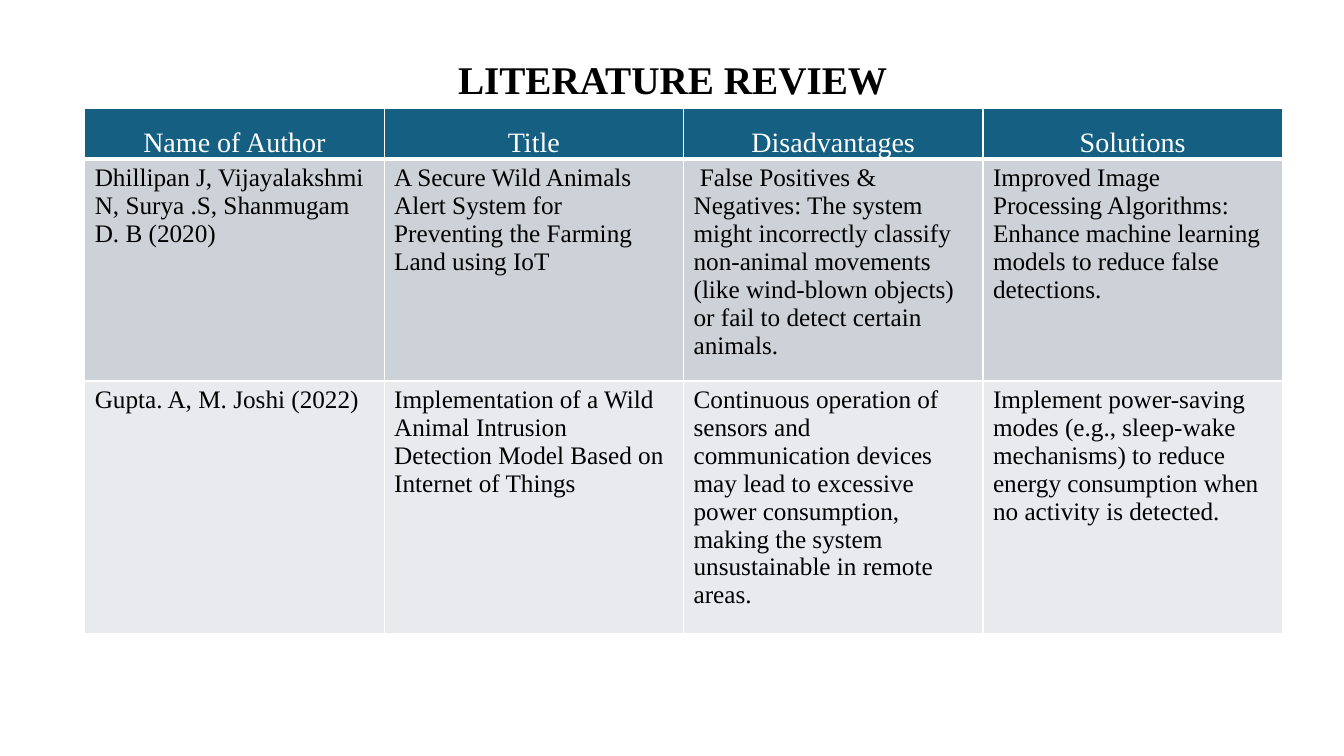
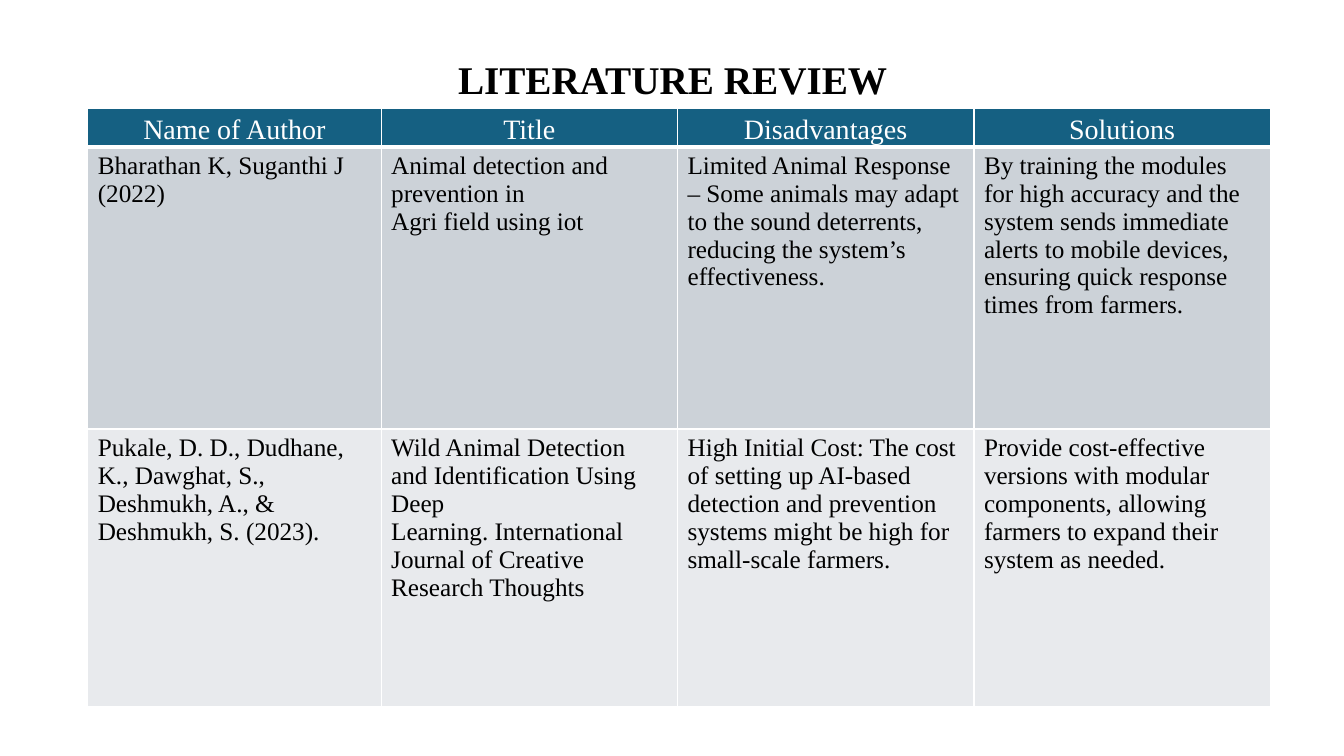
from lxml import etree
from pptx import Presentation
from pptx.dml.color import RGBColor
from pptx.enum.text import MSO_ANCHOR, MSO_AUTO_SIZE, PP_ALIGN
from pptx.oxml.ns import qn
from pptx.util import Inches, Pt

CENTER, LEFT = PP_ALIGN.CENTER, PP_ALIGN.LEFT
TOP, BOTTOM = MSO_ANCHOR.TOP, MSO_ANCHOR.BOTTOM
GROW = MSO_AUTO_SIZE.SHAPE_TO_FIT_TEXT

FONT = "Times New Roman"
COLORS = {
    "header": "156082",
    "odd_row": "CCD2D8",
    "even_row": "E8EAED",
    "text": "000000",
    "white": "FFFFFF",
}
HEADINGS = ["Name of Author", "Title", "Disadvantages", "Solutions"]

REVIEWS = [
    {
        "left": 0.84,
        "widths": [2.97, 2.97, 2.97, 2.97],
        "heights": [0.5, 2.2, 2.5],
        "rows": [
            [
                "Dhillipan J, Vijayalakshmi N, Surya .S, Shanmugam D. B (2020)",
                "A Secure Wild Animals Alert System for\n"
                "Preventing the Farming Land using IoT",
                " False Positives & Negatives: The system might incorrectly classify "
                "non-animal movements (like wind-blown objects) or fail to detect "
                "certain animals.",
                "Improved Image Processing Algorithms: Enhance machine learning "
                "models to reduce false detections.",
            ],
            [
                "Gupta. A, M. Joshi (2022)",
                "Implementation of a Wild Animal Intrusion\n"
                "Detection Model Based on Internet of Things",
                "Continuous operation of sensors and communication devices may lead "
                "to excessive power consumption, making the system unsustainable in "
                "remote areas.",
                "Implement power-saving modes (e.g., sleep-wake mechanisms) to reduce "
                "energy consumption when no activity is detected.",
            ],
        ],
    },
    {
        "left": 0.87,
        "widths": [2.91, 2.94, 2.94, 2.94],
        "heights": [0.37, 2.8, 2.75],
        "rows": [
            [
                "Bharathan K, Suganthi J (2022)",
                "Animal detection and prevention in\nAgri field using iot",
                "Limited Animal Response – Some animals may adapt to the sound "
                "deterrents, reducing the system’s effectiveness.",
                "By training the modules for high accuracy and the system sends "
                "immediate alerts to mobile devices, ensuring quick response times "
                "from farmers.",
            ],
            [
                "Pukale, D. D., Dudhane, K., Dawghat, S., Deshmukh, A., & "
                "Deshmukh, S. (2023).",
                "Wild Animal Detection and Identification Using Deep\n"
                "Learning. International Journal of Creative Research Thoughts",
                "High Initial Cost: The cost of setting up AI-based detection and "
                "prevention systems might be high for small-scale farmers.",
                "Provide cost-effective versions with modular components, allowing "
                "farmers to expand their system as needed.",
            ],
        ],
    },
]


class Deck:
    def __init__(self):
        self.prs = Presentation()
        self.prs.slide_width = Inches(13.33)
        self.prs.slide_height = Inches(7.5)
        self.s = None

    def slide(self):
        self.s = self.prs.slides.add_slide(self.prs.slide_layouts[6])

    def text(self, tf, text, size, color="text", bold=False, align=LEFT):
        tf.text = text
        for p in tf.paragraphs:
            p.alignment = align
            for r in p.runs:
                r.font.name = FONT
                r.font.size = Pt(size)
                r.font.bold = bold
                r.font.color.rgb = RGBColor.from_string(COLORS[color])

    def title(self, text):
        sp = self.s.shapes.add_textbox(
            Inches(3.33), Inches(0.5), Inches(6.68), Inches(0.57))
        tf = sp.text_frame
        tf.word_wrap = True
        tf.auto_size = GROW
        self.text(tf, text, 28, bold=True, align=CENTER)

    def borders(self, cell, bottom):
        tc_pr = cell._tc.get_or_add_tcPr()
        for i, (side, width) in enumerate(zip("LRTB", (1, 1, 1, bottom))):
            ln = etree.Element(qn(f"a:ln{side}"), w=str(Pt(width)))
            fill = etree.SubElement(ln, qn("a:solidFill"))
            etree.SubElement(fill, qn("a:srgbClr"), val=COLORS["white"])
            tc_pr.insert(i, ln)

    def cell(self, cell, text, fill):
        cell.fill.solid()
        cell.fill.fore_color.rgb = RGBColor.from_string(COLORS[fill])
        cell.vertical_anchor = TOP
        self.text(cell.text_frame, text, 18)
        self.borders(cell, 1)

    def header_cell(self, cell, text):
        cell.fill.solid()
        cell.fill.fore_color.rgb = RGBColor.from_string(COLORS["header"])
        cell.vertical_anchor = BOTTOM
        cell.margin_left = cell.margin_right = Inches(0.01)
        cell.margin_top = cell.margin_bottom = Inches(0.01)
        self.text(cell.text_frame, text, 20, "white", align=CENTER)
        p = cell.text_frame.paragraphs[0]
        p.line_spacing = 1.07
        p.space_after = Pt(8)
        self.borders(cell, 3)

    def table(self, left, widths, heights, rows):
        table = self.s.shapes.add_table(
            len(heights), len(widths), Inches(left), Inches(1.08),
            Inches(sum(widths)), Inches(sum(heights))).table
        table.first_row = False
        table.horz_banding = False
        for column, width in zip(table.columns, widths):
            column.width = Inches(width)
        for row, height in zip(table.rows, heights):
            row.height = Inches(height)
        for j, text in enumerate(HEADINGS):
            self.header_cell(table.cell(0, j), text)
        for i, texts in enumerate(rows, 1):
            fill = "odd_row" if i % 2 else "even_row"
            for j, text in enumerate(texts):
                self.cell(table.cell(i, j), text, fill)


def main():
    deck = Deck()
    for review in REVIEWS:
        deck.slide()
        deck.title("LITERATURE REVIEW")
        deck.table(**review)
    deck.prs.save("out.pptx")


if __name__ == "__main__":
    main()
